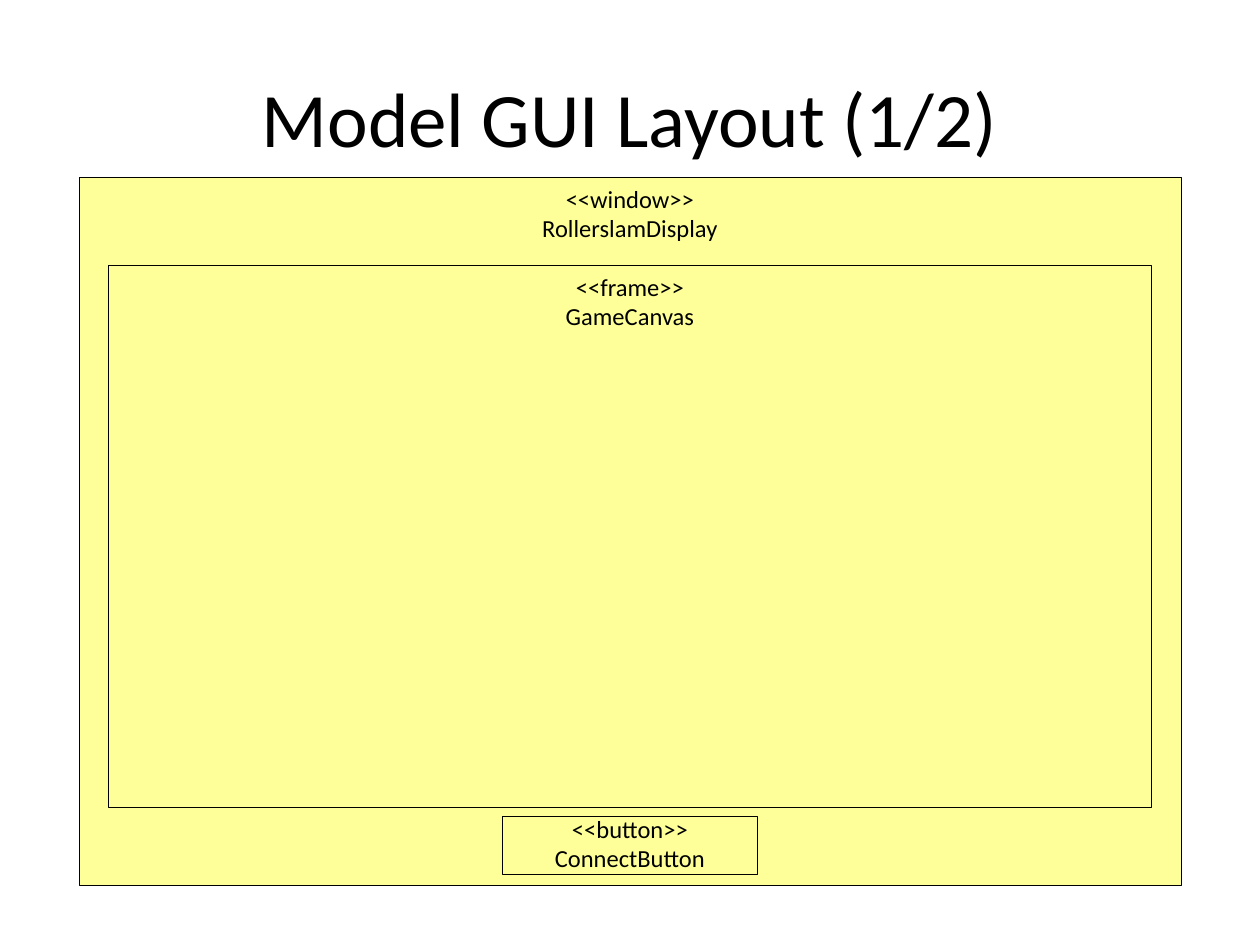
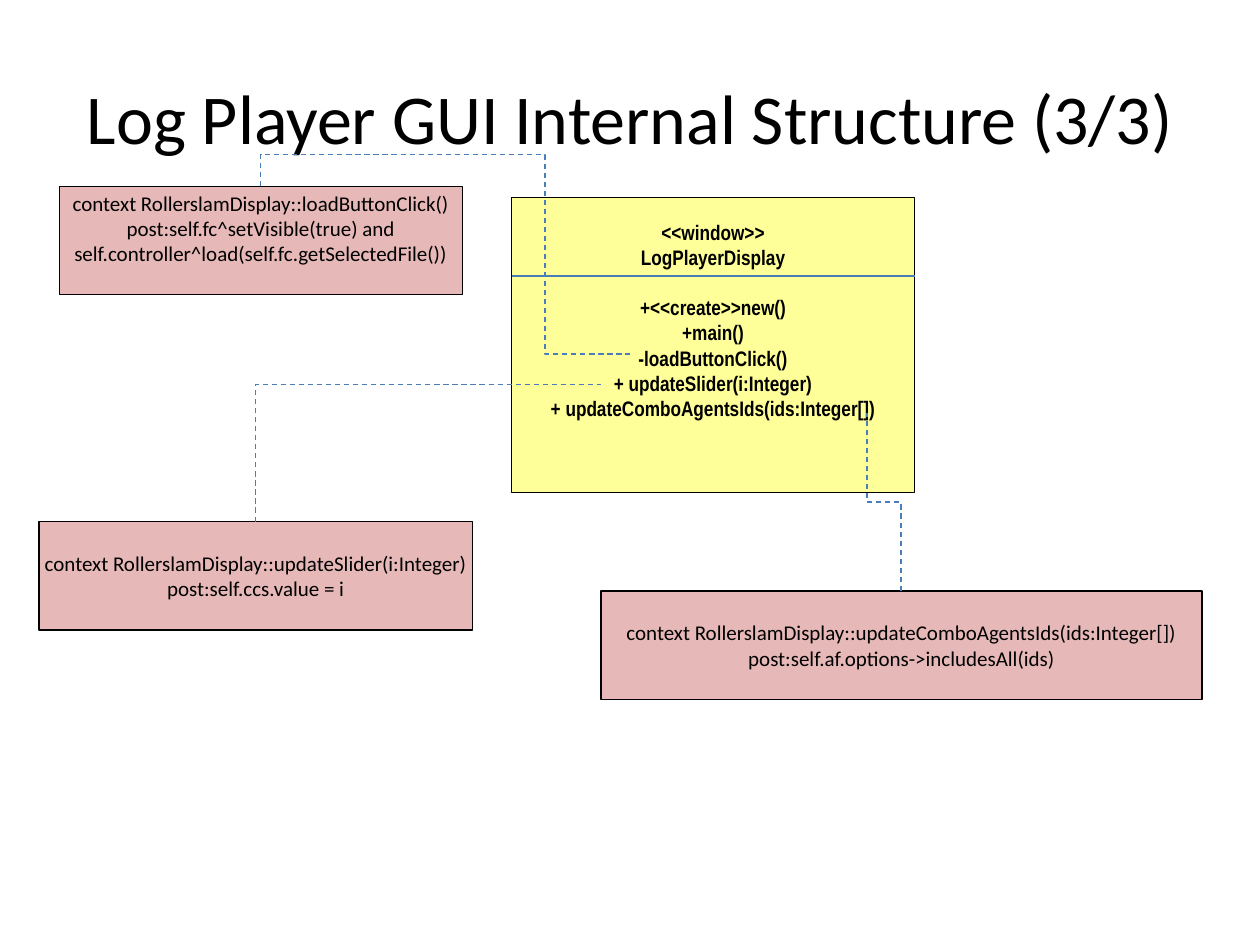
import pptx
import pptx.util
import pptx.dml.color
import pptx.enum.dml
import pptx.enum.shapes
import pptx.enum.text
import pptx.oxml
import pptx.oxml.ns
from dataclasses import dataclass

Inches = pptx.util.Inches
Pt = pptx.util.Pt
Anchor = pptx.enum.text.MSO_ANCHOR
Connector = pptx.enum.shapes.MSO_CONNECTOR


@dataclass(frozen=True)
class Theme:
    text: str = "000000"
    outline: str = "000000"
    component: str = "FFFF99"
    note: str = "E6B9B8"
    link: str = "4A7EBB"
    font: str = "Calibri"
    class_font: str = "Arial Narrow"
    caption_size: int = 14
    body_size: int = 12
    line_width: float = 0.75
    line_height: float = 0.2  # inches taken by one line of body text


THEME = Theme()


def color(value):
    return pptx.dml.color.RGBColor.from_string(value)


def set_values(target, values):
    for name, value in values.items():
        setattr(target, name, value)


def write_lines(frame, lines, size, font=THEME.font, bold=False,
                anchor=Anchor.TOP, wrap=True, bottom=0.05):
    set_values(frame, {
        "word_wrap": wrap, "vertical_anchor": anchor,
        "margin_left": Inches(0.1), "margin_right": Inches(0.1),
        "margin_top": Inches(0.05), "margin_bottom": Inches(bottom),
    })
    for index, line in enumerate(lines):
        paragraph = frame.paragraphs[0] if index == 0 else frame.add_paragraph()
        paragraph.alignment = pptx.enum.text.PP_ALIGN.CENTER
        run = paragraph.add_run()
        run.text = line
        set_values(run.font, {"name": font, "size": Pt(size), "bold": bold})
        run.font.color.rgb = color(THEME.text)


def add_label(slide, box, lines, size, **format_values):
    shape = slide.shapes.add_textbox(*map(Inches, box))
    write_lines(shape.text_frame, lines, size, **format_values)


def add_title(slide, text, size):
    add_label(slide, (0.5, 0.3, 9, 1.25), [text], size, anchor=Anchor.MIDDLE)


def add_box(slide, box, fill):
    shape = slide.shapes.add_shape(
        pptx.enum.shapes.MSO_SHAPE.RECTANGLE, *map(Inches, box))
    shape.shadow.inherit = False
    shape.fill.solid()
    shape.fill.fore_color.rgb = color(fill)
    shape.line.color.rgb = color(THEME.outline)
    shape.line.width = Pt(THEME.line_width)
    return shape


def add_text_box(slide, box, fill, lines, lift=0, **format_values):
    """Box with centred lines, raised by the height of `lift` body lines."""
    frame = add_box(slide, box, fill).text_frame
    write_lines(frame, lines, THEME.body_size, anchor=Anchor.MIDDLE, wrap=False,
                bottom=0.05 + lift * THEME.line_height, **format_values)
    return frame


def add_line(slide, start, end, kind=Connector.STRAIGHT):
    connector = slide.shapes.add_connector(kind, *map(Inches, (*start, *end)))
    connector.line.color.rgb = color(THEME.link)
    connector.line.width = Pt(THEME.line_width)
    connector._element.spPr.append(pptx.oxml.parse_xml(
        "<a:effectLst %s/>" % pptx.oxml.ns.nsdecls("a")))
    return connector


def add_elbow(slide, start, end, preset, adjustments=()):
    """Dashed elbow that leaves its start vertically: a quarter-turned connector."""
    (x1, y1), (x2, y2) = start, end
    center_x, center_y = (x1 + x2) / 2, (y1 + y2) / 2
    half_x, half_y = (y1 - y2) / 2, (x2 - x1) / 2
    connector = add_line(slide, (center_x - half_x, center_y - half_y),
                         (center_x + half_x, center_y + half_y), Connector.ELBOW)
    connector.line.dash_style = pptx.enum.dml.MSO_LINE.DASH
    properties = connector._element.spPr
    properties.find(pptx.oxml.ns.qn("a:xfrm")).set("rot", str(270 * 60000))
    geometry = properties.find(pptx.oxml.ns.qn("a:prstGeom"))
    geometry.set("prst", preset)
    guides = geometry.find(pptx.oxml.ns.qn("a:avLst"))
    for number, share in enumerate(adjustments, 1):
        guides.append(pptx.oxml.parse_xml(
            '<a:gd %s name="adj%d" fmla="val %d"/>'
            % (pptx.oxml.ns.nsdecls("a"), number, round(share * 100000))))


def build_layout_slide(slide):
    # Window, with the frame and the button inside it
    components = [
        ((0.63, 1.41, 8.75, 5.62), 1.41, "<<window>>", "RollerslamDisplay"),
        ((0.86, 2.11, 8.28, 4.3), 2.11, "<<frame>>", "GameCanvas"),
        ((3.99, 6.48, 2.02, 0.46), 6.41, "<<button>>", "ConnectButton"),
    ]
    for box, caption_top, stereotype, name in components:
        add_box(slide, box, THEME.component)
        add_label(slide, (3.75, caption_top, 2.5, 0.57), [stereotype, name],
                  THEME.caption_size)
    add_title(slide, "Model GUI Layout (1/2)", 44)


def build_structure_slide(slide):
    add_title(slide, "Log Player GUI Internal Structure (3/3)", 40)

    # Class with its operations
    class_frame = add_text_box(
        slide, (4.06, 1.57, 3.2, 2.34), THEME.component,
        ["<<window>>", "LogPlayerDisplay", "+<<create>>new()", "+main()",
         "-loadButtonClick()", "+ updateSlider(i:Integer)",
         "+ updateComboAgentsIds(ids:Integer[])"],
        lift=2, font=THEME.class_font, bold=True)
    class_frame.paragraphs[2].space_before = Inches(THEME.line_height)
    add_line(slide, (4.06, 2.19), (7.26, 2.19))

    # Contract notes
    add_text_box(slide, (0.47, 1.48, 3.2, 0.86), THEME.note,
                 ["context RollerslamDisplay::loadButtonClick()",
                  "post:self.fc^setVisible(true) and",
                  "self.controller^load(self.fc.getSelectedFile())"], lift=1)
    add_text_box(slide, (0.31, 4.14, 3.44, 0.86), THEME.note,
                 ["context RollerslamDisplay::updateSlider(i:Integer)",
                  "post:self.ccs.value = i"])
    add_text_box(slide, (4.77, 4.69, 4.77, 0.86), THEME.note,
                 ["context RollerslamDisplay::updateComboAgentsIds(ids:Integer[])",
                  "post:self.af.options->includesAll(ids)"])

    # Links from each note to its operation
    add_elbow(slide, (2.07, 1.48), (5, 2.81), "bentConnector4", (-0.19, 0.77))
    add_elbow(slide, (2.03, 4.14), (4.77, 3.05), "bentConnector2")
    add_elbow(slide, (7.15, 4.69), (6.88, 3.28), "bentConnector3", (0.5,))


def main():
    presentation = pptx.Presentation()
    presentation.slide_width = Inches(10)
    presentation.slide_height = Inches(7.5)
    for build in (build_layout_slide, build_structure_slide):
        build(presentation.slides.add_slide(presentation.slide_layouts[6]))
    presentation.save("out.pptx")


if __name__ == "__main__":
    main()
